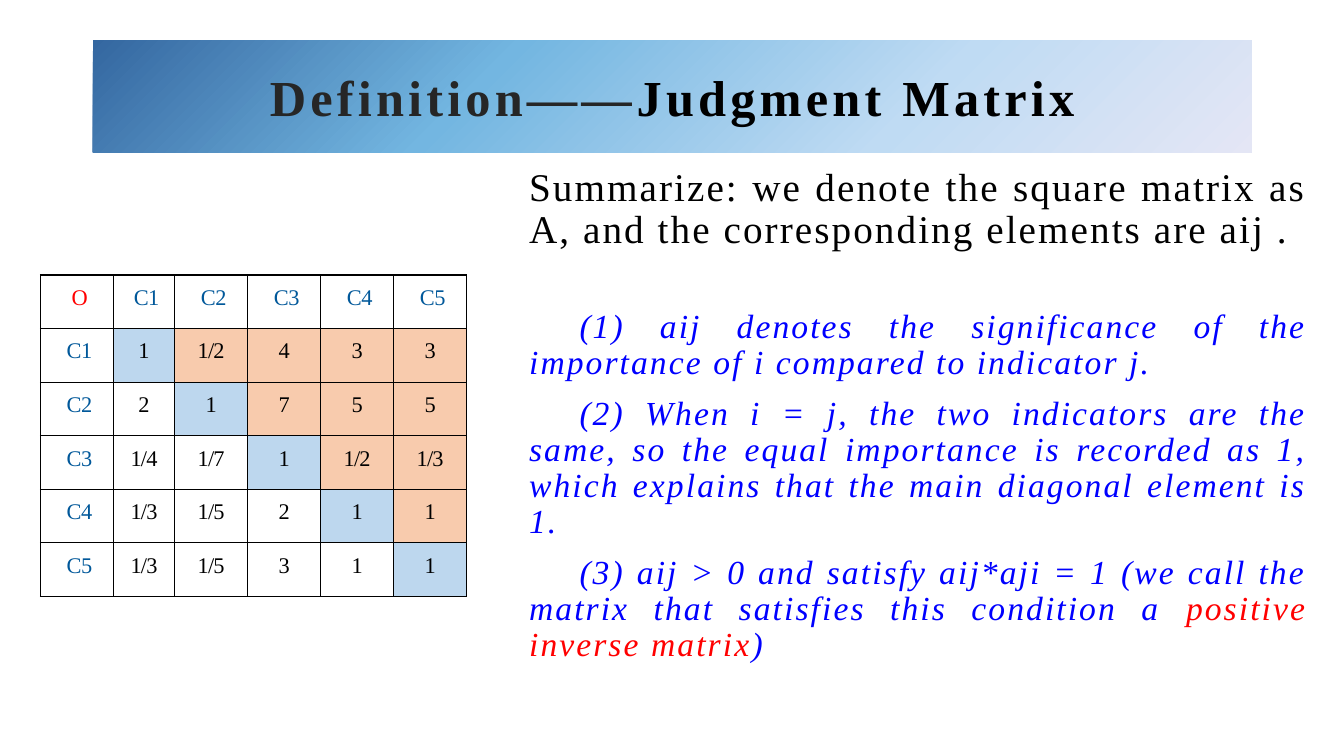
from lxml.etree import SubElement as Sub
from pptx import Presentation
from pptx.dml.color import RGBColor as RGB
from pptx.enum.text import MSO_ANCHOR as Anchor, MSO_AUTO_SIZE as Fit, PP_ALIGN as Align
from pptx.oxml.ns import qn
from pptx.util import Cm, Pt

BLACK = RGB(0, 0, 0)
WHITE = RGB(255, 255, 255)
GREY = RGB(0x26, 0x26, 0x26)
BLUE = RGB(0, 0, 255)
RED = RGB(255, 0, 0)
NAVY = RGB(0, 0x58, 0x9A)
SKY = RGB(0xBD, 0xD7, 0xEE)
PEACH = RGB(0xF8, 0xCB, 0xAD)
FADE = [
    (0, RGB(0x34, 0x67, 0xA0)),
    (34, RGB(0x73, 0xB6, 0xE1)),
    (70, RGB(0xBF, 0xDB, 0xF3)),
    (100, RGB(0xE4, 0xE6, 0xF5)),
]
FONT = "Times New Roman"

TITLE = [("Definition——", GREY), ("Judgment Matrix", BLACK)]
LEAD = "Summarize: we denote the square matrix as A, and the corresponding elements are aij ."
POINTS = [
    [("(1) aij denotes the significance of the importance of i compared to indicator j.", BLUE)],
    [("(2) When i = j, the two indicators are the same, so the equal importance is "
      "recorded as 1, which explains that the main diagonal element is 1.", BLUE)],
    [("(3) aij > 0 and satisfy aij*aji = 1 (we call the matrix that satisfies this "
      "condition a ", BLUE), ("positive inverse matrix", RED), (")", BLUE)],
]
GRID = [
    ["O", "C1", "C2", "C3", "C4", "C5"],
    ["C1", "1", "1/2", "4", "3", "3"],
    ["C2", "2", "1", "7", "5", "5"],
    ["C3", "1/4", "1/7", "1", "1/2", "1/3"],
    ["C4", "1/3", "1/5", "2", "1", "1"],
    ["C5", "1/3", "1/5", "3", "1", "1"],
]
WIDTHS = [1.84, 1.54, 1.84, 1.84, 1.84, 1.84]
ROW = 1.35


def write(para, text, size=16, color=BLACK, bold=False, slant=False, gap=0):
    """Add a run of text to a paragraph."""
    run = para.add_run()
    run.text = text
    font = run.font
    font.size, font.bold, font.italic = Pt(size), bold, slant
    font.color.rgb = color
    font.name = FONT
    mark = run._r.get_or_add_rPr()
    mark.set("spc", str(round(gap * 100)))
    Sub(mark, qn("a:ea")).set("typeface", FONT)


def place(shape, left, top, width, height):
    """Move and size a shape in centimetres."""
    shape.left, shape.top = Cm(left), Cm(top)
    shape.width, shape.height = Cm(width), Cm(height)


def shade(shape):
    """Give a shape the slanted blue fade."""
    fill = Sub(shape._element.spPr, qn("a:gradFill"))
    stops = Sub(fill, qn("a:gsLst"))
    for spot, color in FADE:
        stop = Sub(stops, qn("a:gs"))
        stop.set("pos", str(spot * 1000))
        Sub(stop, qn("a:srgbClr")).set("val", str(color))
    Sub(fill, qn("a:lin")).set("ang", str(45 * 60000))


def frame(cell):
    """Draw a thin black line on each side of a cell."""
    props = cell._tc.get_or_add_tcPr()
    for side in ("lnL", "lnR", "lnT", "lnB"):
        line = Sub(props, qn(f"a:{side}"))
        line.set("w", str(Pt(1)))
        Sub(Sub(line, qn("a:solidFill")), qn("a:srgbClr")).set("val", str(BLACK))


def head(shape):
    """Fill the title band."""
    place(shape, 2.34, 1.02, 29.21, 2.82)
    shade(shape)
    box = shape.text_frame
    box.auto_size, box.vertical_anchor = Fit.NONE, Anchor.MIDDLE
    para = box.paragraphs[0]
    para.alignment = Align.CENTER
    for text, color in TITLE:
        write(para, text, size=36, color=color, bold=True, gap=3)


def body(shape):
    """Fill the summary and its points."""
    place(shape, 13.08, 4.09, 20.12, 14.96)
    box = shape.text_frame
    box.auto_size, box.vertical_anchor = Fit.NONE, Anchor.TOP
    for num, parts in enumerate([[(LEAD, BLACK)]] + POINTS):
        para = box.add_paragraph() if num else box.paragraphs[0]
        para.alignment, para.line_spacing = Align.JUSTIFY, 0.9
        para.space_before, para.space_after = Pt(0), Pt(10 if num else 41)
        props = para._p.get_or_add_pPr()
        props.set("marL", "0")
        props.set("indent", str(Cm(1.27) if num else 0))
        Sub(props, qn("a:buNone"))
        for text, color in parts:
            write(para, text, size=24 if num else 28, color=color, slant=num > 0, gap=1.5)


def matrix(slide):
    """Add the judgment matrix."""
    count = len(GRID)
    table = slide.shapes.add_table(count, count, Cm(1.02), Cm(6.93),
                                   Cm(sum(WIDTHS)), Cm(ROW * count)).table
    table.first_row = table.horz_banding = False
    for col, width in zip(table.columns, WIDTHS):
        col.width = Cm(width)
    for i, line in enumerate(GRID):
        table.rows[i].height = Cm(ROW)
        for j, text in enumerate(line):
            cell = table.cell(i, j)
            label = i == 0 or j == 0
            frame(cell)
            cell.fill.solid()
            cell.fill.fore_color.rgb = WHITE if label or j < i else SKY if i == j else PEACH
            cell.margin_left = Cm(0.13 if label else 0)
            cell.margin_right = cell.margin_top = 0
            cell.margin_bottom = Cm(0.2)
            cell.vertical_anchor = Anchor.MIDDLE
            para = cell.text_frame.paragraphs[0]
            para.alignment = Align.CENTER
            color = RED if text == "O" else NAVY if label else BLACK
            write(para, text, color=color, gap=-0.6 if "/" in text else -0.3)


def main():
    """Build and save the slide."""
    deck = Presentation()
    deck.slide_width, deck.slide_height = Cm(33.87), Cm(19.05)
    slide = deck.slides.add_slide(deck.slide_layouts[1])
    head(slide.shapes.title)
    body(slide.placeholders[1])
    matrix(slide)
    deck.save("out.pptx")


if __name__ == "__main__":
    main()
